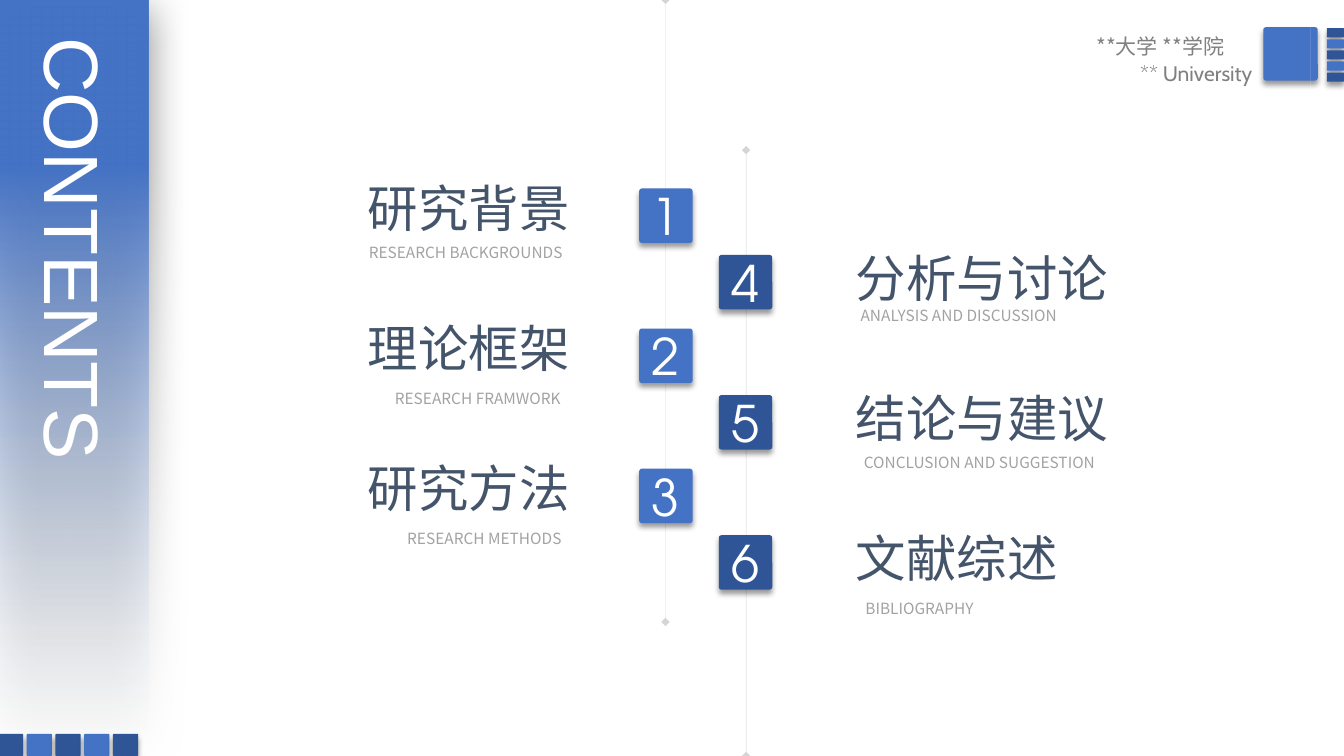
from math import atan2, cos, degrees, radians, sin

from lxml.etree import SubElement
from pptx import Presentation
from pptx.dml.color import RGBColor
from pptx.enum.shapes import MSO_CONNECTOR as Connector, MSO_SHAPE as Shape
from pptx.enum.text import MSO_ANCHOR as Anchor, MSO_AUTO_SIZE as AutoSize, PP_ALIGN as Align
from pptx.oxml.ns import qn
from pptx.util import Inches, Pt


class Theme:
    blue, navy, mist, white = "4472C4", "2F5597", "F7FAFD", "FFFFFF"
    slate, caption, grey, black = "44546A", "A2A2A2", "808080", "000000"
    # Each style: font, size, colour
    banner = ("Arial", 55, white)
    number = ("TeX Gyre Adventor", 36, white)
    heading = ("Noto Sans CJK SC", 36, slate)
    subtitle = ("Noto Sans CJK SC", 11, caption)
    school = ("Noto Sans CJK SC", 15, grey)
    university = ("Cabin", 15, grey)
    # Each shadow: opacity %, blur pt, distance pt, direction in degrees
    tile_shadow = (40, 4, 3, 90)
    banner_shadow = (50, 31, 6, 97)


def add_alpha(colour, percent):
    SubElement(colour, qn("a:alpha"), val=str(percent * 1000))


class ContentsSlide:
    def __init__(self, slide, theme):
        self.slide, self.theme = slide, theme

    def fill_text(self, frame, text, style, align, **formats):
        font, size, colour = style
        for name, value in formats.items():
            setattr(frame, name, value)
        paragraph = frame.paragraphs[0]
        paragraph.alignment = align
        run = paragraph.add_run()
        run.text = text
        for name, value in {"name": font, "size": Pt(size), "bold": False}.items():
            setattr(run.font, name, value)
        run.font.color.rgb = RGBColor.from_string(colour)
        SubElement(run.font._element, qn("a:ea"), typeface=font)

    def text(self, box, text, style, align=Align.LEFT, wrap=True):
        label = self.slide.shapes.add_textbox(*map(Inches, box))
        self.fill_text(label.text_frame, text, style, align,
                       word_wrap=wrap, auto_size=AutoSize.SHAPE_TO_FIT_TEXT)
        return label

    def shade(self, shape, shadow):
        opacity, blur, distance, direction = shadow
        shape.shadow.inherit = False
        effects = shape.element.spPr.find(qn("a:effectLst"))
        outer = SubElement(effects, qn("a:outerShdw"), blurRad=str(Pt(blur)), dist=str(Pt(distance)),
                           dir=str(direction * 60000), algn="t", rotWithShape="0")
        add_alpha(SubElement(outer, qn("a:srgbClr"), val=self.theme.black), opacity)

    def tile(self, box, colour, number=None):
        tile = self.slide.shapes.add_shape(Shape.ROUNDED_RECTANGLE, *map(Inches, box))
        tile.adjustments[0] = 0.05
        tile.fill.solid()
        tile.fill.fore_color.rgb = RGBColor.from_string(colour)
        tile.line.fill.background()
        self.shade(tile, self.theme.tile_shadow)
        if number:
            self.fill_text(tile.text_frame, number, self.theme.number, Align.CENTER,
                           word_wrap=True, vertical_anchor=Anchor.MIDDLE)

    def tile_strip(self, left, top, width, height, step_x, step_y):
        for i in range(5):
            colour = self.theme.blue if i % 2 else self.theme.navy
            self.tile((left + i * step_x, top + i * step_y, width, height), colour)

    def banner(self, box):
        banner = self.slide.shapes.add_shape(Shape.RECTANGLE, *map(Inches, box))
        banner.line.fill.background()
        banner.fill.gradient()
        banner.fill.gradient_angle = 90
        stops = ((0, self.theme.mist), (0.78, self.theme.blue))
        for stop, (position, colour) in zip(banner.fill.gradient_stops, stops):
            stop.position = position
            stop.color.rgb = RGBColor.from_string(colour)
        add_alpha(banner.element.xpath(".//a:gs/a:srgbClr")[0], 0)
        self.shade(banner, self.theme.banner_shadow)

    def timeline(self, x, top, bottom):
        rail = self.slide.shapes.add_connector(
            Connector.STRAIGHT, *map(Inches, (x, top, x, bottom)))
        rail.line.width = Pt(0.25)
        rail.line.color.rgb = RGBColor.from_string(self.theme.grey)
        stroke = rail.element.spPr.find(qn("a:ln"))
        add_alpha(stroke.find(".//" + qn("a:srgbClr")), 33)
        for end in ("headEnd", "tailEnd"):
            SubElement(stroke, qn("a:" + end), type="diamond")
        SubElement(rail.element.spPr, qn("a:effectLst"))

    def share_icon(self, hub, upper, lower, radius):
        gap = 12  # half the angle a link takes from a node's rim

        def bearing(start, end):
            return degrees(atan2(end[1] - start[1], end[0] - start[0]))

        def arc(centre, first, last, steps=16):
            angles = (radians(first + (last - first) * i / steps) for i in range(steps + 1))
            return [(centre[0] + radius * cos(a), centre[1] + radius * sin(a)) for a in angles]

        def node(centre):
            link = bearing(centre, hub)
            return arc(centre, link + gap, link + 360 - gap)

        up, down = bearing(hub, upper), bearing(hub, lower)
        outline = (node(upper) + arc(hub, up + gap, down - gap)
                   + node(lower) + arc(hub, down + gap, up + 360 - gap))
        builder = self.slide.shapes.build_freeform(*outline[0], scale=Inches(1))
        builder.add_line_segments(outline[1:], close=True)
        icon = builder.convert_to_shape()
        icon.fill.solid()
        icon.fill.fore_color.rgb = RGBColor.from_string(self.theme.white)
        icon.line.fill.background()
        icon.shadow.inherit = False


def main():
    deck = Presentation()
    deck.slide_width, deck.slide_height = Inches(13.33), Inches(7.5)
    theme = Theme()
    page = ContentsSlide(deck.slides.add_slide(deck.slide_layouts[6]), theme)

    # Timelines
    page.timeline(7.4, 1.49, 7.5)
    page.timeline(6.6, 0, 6.17)

    # Side banner
    page.banner((0, 0, 1.47, 7.46))
    page.tile_strip(-0.02, 7.28, 0.25, 0.22, 0.285, 0)
    contents = page.text((0.12, 0.27, 1.13, 4.94), "CONTENTS", theme.banner)
    contents.text_frame._txBody.bodyPr.set("vert", "eaVert")

    # Chapters: column layout, then heading, subtitle and subtitle box
    columns = (
        (6.34, 1.87, 3.55, 1.71, theme.blue, (
            ("研究背景", "RESEARCH BACKGROUNDS", (3.51, 2.36, 2.22, 0.29)),
            ("理论框架", "RESEARCH FRAMWORK", (3.76, 3.81, 1.96, 0.29)),
            ("研究方法", "RESEARCH METHODS", (3.9, 5.2, 1.81, 0.29)))),
        (7.13, 2.53, 8.39, 2.4, theme.navy, (
            ("分析与讨论", "ANALYSIS AND DISCUSSION", (8.35, 2.99, 2.32, 0.29)),
            ("结论与建议", "CONCLUSION AND SUGGESTION", (8.38, 4.45, 2.67, 0.29)),
            ("文献综述", "BIBLIOGRAPHY", (8.46, 5.89, 1.32, 0.29)))),
    )
    number = 0
    for tile_x, tile_y, heading_x, heading_y, colour, chapters in columns:
        for row, (heading, subtitle, subtitle_box) in enumerate(chapters):
            number += 1
            drop = row * 1.39
            page.tile((tile_x, tile_y + drop, 0.53, 0.54), colour, str(number))
            heading_width = 0.2 + 0.505 * len(heading)
            page.text((heading_x, heading_y + drop, heading_width, 0.71),
                      heading, theme.heading, wrap=False)
            page.text(subtitle_box, subtitle, theme.subtitle, Align.CENTER)

    # School mark
    page.tile_strip(13.16, 0.28, 0.17, 0.09, 0, 0.11)
    page.tile((12.53, 0.27, 0.54, 0.53), theme.blue)
    page.share_icon((12.69, 0.53), (12.9, 0.44), (12.85, 0.64), 0.05)
    page.text((10.15, 0.28, 2.09, 0.4), "**大学 **学院", theme.school, Align.RIGHT)
    page.text((10.15, 0.55, 2.37, 0.35), "** University", theme.university, Align.RIGHT)

    deck.save("out.pptx")


if __name__ == "__main__":
    main()
